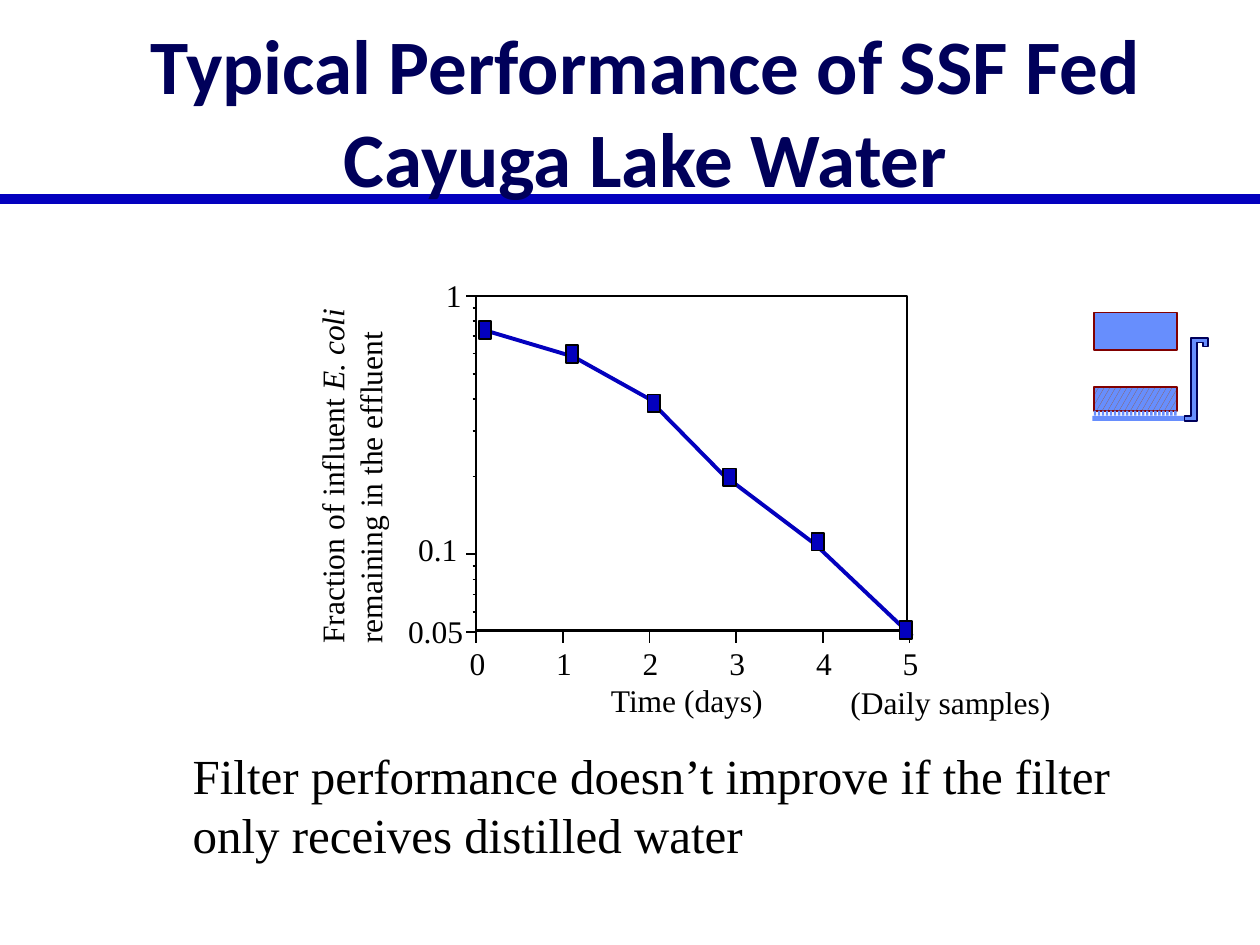
import math
from lxml import etree
from pptx import Presentation
from pptx import util as u
from pptx.dml.color import RGBColor
from pptx.enum import dml, shapes, text
from pptx.oxml.ns import qn

Pt = u.Pt
RECT = shapes.MSO_SHAPE.RECTANGLE
BLACK, WHITE, BLUE, NAVY = "000000", "FFFFFF", "0300BE", "00005A"
WATER, MAROON = "678EFD", "810000"
SERIF = "Times New Roman"


def paint(item, color):
    """Give a fill, line or font format one solid colour; None leaves it empty."""
    fill = item.fill if hasattr(item, "fill") else item
    if color is None:
        fill.background()
    else:
        fill.solid()
        fill.fore_color.rgb = RGBColor.from_string(color)


def label(left, top, width, height, runs, size=18, wrap=False):
    """Add a text box; runs are (text, italic) pairs."""
    box = slide.shapes.add_textbox(Pt(left), Pt(top), Pt(width), Pt(height))
    frame = box.text_frame
    frame.word_wrap = wrap
    frame.auto_size = text.MSO_AUTO_SIZE.SHAPE_TO_FIT_TEXT
    for words, slant in runs:
        run = frame.paragraphs[0].add_run()
        run.text = words
        form = {"name": SERIF, "size": Pt(size), "italic": slant}
        for key, value in form.items():
            setattr(run.font, key, value)
        paint(run.font, BLACK)
    return box


deck = Presentation()
deck.slide_width, deck.slide_height = Pt(720), Pt(540)
slide = deck.slides.add_slide(deck.slide_layouts[5])

# Title
title = slide.shapes.title
place = {"left": Pt(36), "top": Pt(18), "width": Pt(666), "height": Pt(90)}
for key, value in place.items():
    setattr(title, key, value)
frame = title.text_frame
frame.text = "Typical Performance of SSF Fed Cayuga Lake Water"
frame.auto_size = text.MSO_AUTO_SIZE.NONE
frame.vertical_anchor = text.MSO_ANCHOR.MIDDLE
frame.paragraphs[0].alignment = text.PP_ALIGN.CENTER
font = frame.paragraphs[0].runs[0].font
for key, value in {"name": "Calibri", "size": Pt(44), "bold": True}.items():
    setattr(font, key, value)
paint(font, NAVY)

# Plot frame
left, top, day, decade, base = 272.2, 169.2, 49.5, 147.6, 360.7
plot = slide.shapes.add_shape(RECT, Pt(left), Pt(top), Pt(246.2), Pt(190.8))
plot.shadow.inherit = False
paint(plot, WHITE)
paint(plot.line, BLACK)
plot.line.width = Pt(1)

# Title rule, axes and ticks: x1, y1, x2, y2, colour, width
lines = [(0, 113.8, 720, 113.8, BLUE, 6),
         (left, base, 519.1, base, BLACK, 1),
         (left, 361.4, left, 168.5, BLACK, 1)]
minor = [n / 100 for n in range(5, 11)] + [n / 10 for n in range(2, 11)]
for start, marks in ((270, minor), (266.4, (0.05, 0.1, 1))):
    for mark in marks:
        y = top - decade * math.log10(mark)
        lines.append((start, y, 271.4, y, BLACK, 1))
for n in range(6):
    x = left + n * day
    lines.append((x, 367.2, x, base, BLACK, 1))
for x1, y1, x2, y2, color, width in lines:
    line = slide.shapes.add_connector(
        shapes.MSO_CONNECTOR.STRAIGHT, Pt(x1), Pt(y1), Pt(x2), Pt(y2))
    paint(line.line, color)
    line.line.width = Pt(width)
    etree.SubElement(line.element.spPr, qn("a:effectLst"))
    if color == BLUE:  # the rule lies behind the title
        title.element.addprevious(line.element)

# Data curve
curve = [(521.3, 363.6), (465.8, 311), (413.3, 271.4),
         (370.1, 227.5), (327.6, 203.8), (276.5, 188.6)]
points = [(Pt(x), Pt(y)) for x, y in curve]
pen = slide.shapes.build_freeform(*points[0])
pen.add_line_segments(points[1:], close=False)
trace = pen.convert_to_shape()
trace.shadow.inherit = False
paint(trace, None)
paint(trace.line, BLUE)
trace.line.width = Pt(2.25)

# Axis labels and notes
for x, y, w, words in ((226.1, 346.3, 46.1, "0.05"), (231.8, 299.5, 36.7, "0.1"),
                       (247.7, 154.1, 20.2, "1"), (342, 385.9, 101.5, "Time (days)"),
                       (478.8, 386.6, 128.9, "(Daily samples)")):
    label(x, y, w, 28.8, [(words, False)])
for n in range(6):
    label(261.2 + n * day, 364.3, 23, 28.8, [(str(n), False)])
side = label(90.7, 239.8, 219.6, 50.4,
             [("Fraction of influent ", False), ("E. coli ", True),
              ("remaining in the effluent", False)], wrap=True)
side.rotation = 270
label(103, 422.6, 565.2, 74.2,
      [("Filter performance doesn’t improve if the filter "
        "only receives distilled water", False)], 28, True)

# Data markers and filter parts: parent, x, y, width, height, fill, line
group = slide.shapes.add_group_shape().shapes
spots = [(273.6, 183.6), (323.3, 197.3), (370.1, 225.4),
         (413.3, 267.8), (463.7, 304.6), (514.1, 355)]
parts = [(slide.shapes, x, y, 7.2, 10.1, BLUE, BLACK) for x, y in spots]
parts += [(group, 625, 172.8, 47.5, 8.6, WHITE, None),
          (group, 625, 178.6, 47.5, 21.6, WATER, MAROON),
          (group, 625, 221, 47.5, 13.7, "sand", MAROON),
          (group, 624.2, 237.6, 53.3, 2.9, WATER, None)]
parts += [(group, 625 + n * 2.3, 234.7, 1.4, 2.9, WATER, None) for n in range(21)]
for home, x, y, w, h, color, edge in parts:
    part = home.add_shape(RECT, Pt(x), Pt(y), Pt(w), Pt(h))
    part.shadow.inherit = False
    if color == "sand":
        part.fill.patterned()
        part.fill.pattern = dml.MSO_PATTERN.LARGE_CONFETTI
        part.fill.fore_color.rgb = RGBColor.from_string("975737")
        part.fill.back_color.rgb = RGBColor.from_string(WATER)
    else:
        paint(part, color)
    paint(part.line, edge)
    if edge:
        part.line.width = Pt(1)

# Outlet pipe
bends = [(676.8, 237.6), (680.4, 237.6), (680.4, 193), (690.5, 193), (690.5, 198),
         (687.6, 198), (687.6, 195.8), (684, 195.8), (684, 240.5), (676.8, 240.5)]
points = [(Pt(x), Pt(y)) for x, y in bends]
pen = group.build_freeform(*points[0])
pen.add_line_segments(points[1:], close=True)
pipe = pen.convert_to_shape()
pipe.shadow.inherit = False
paint(pipe, WATER)
paint(pipe.line, NAVY)
pipe.line.width = Pt(1)

deck.save("out.pptx")
